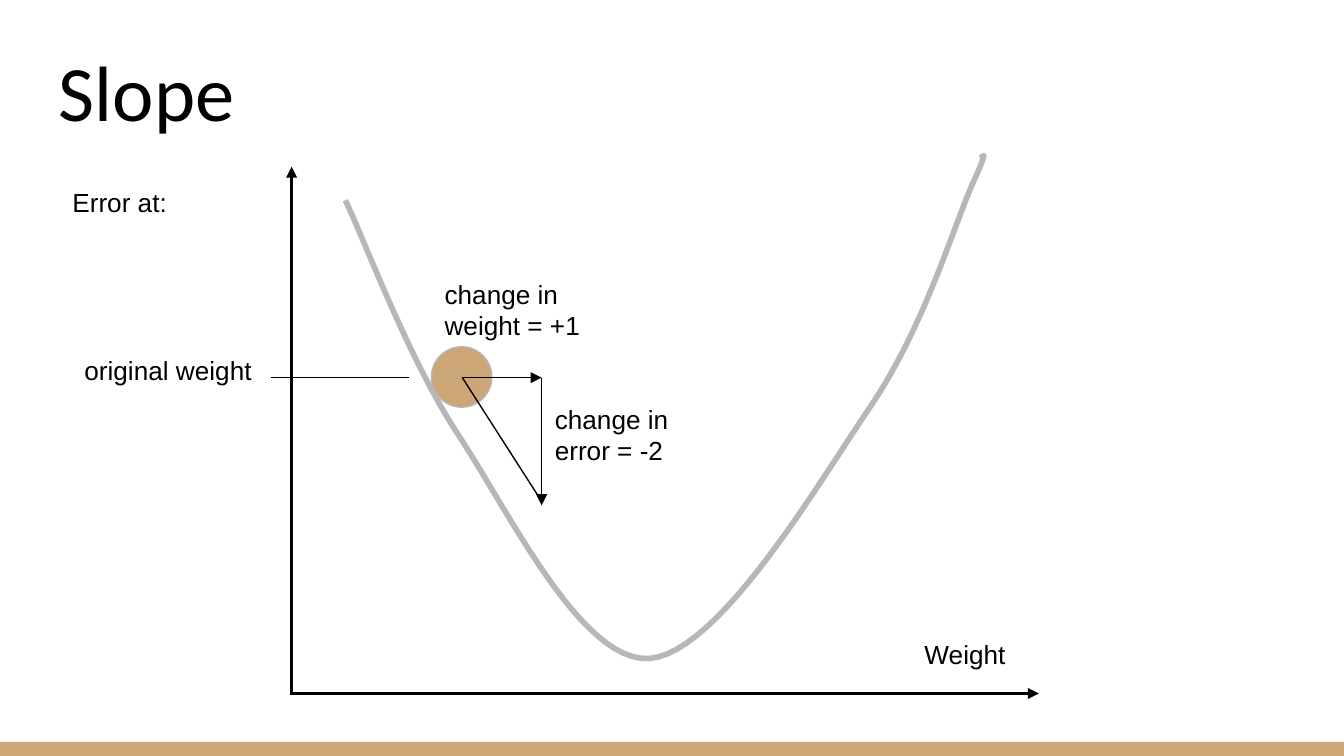
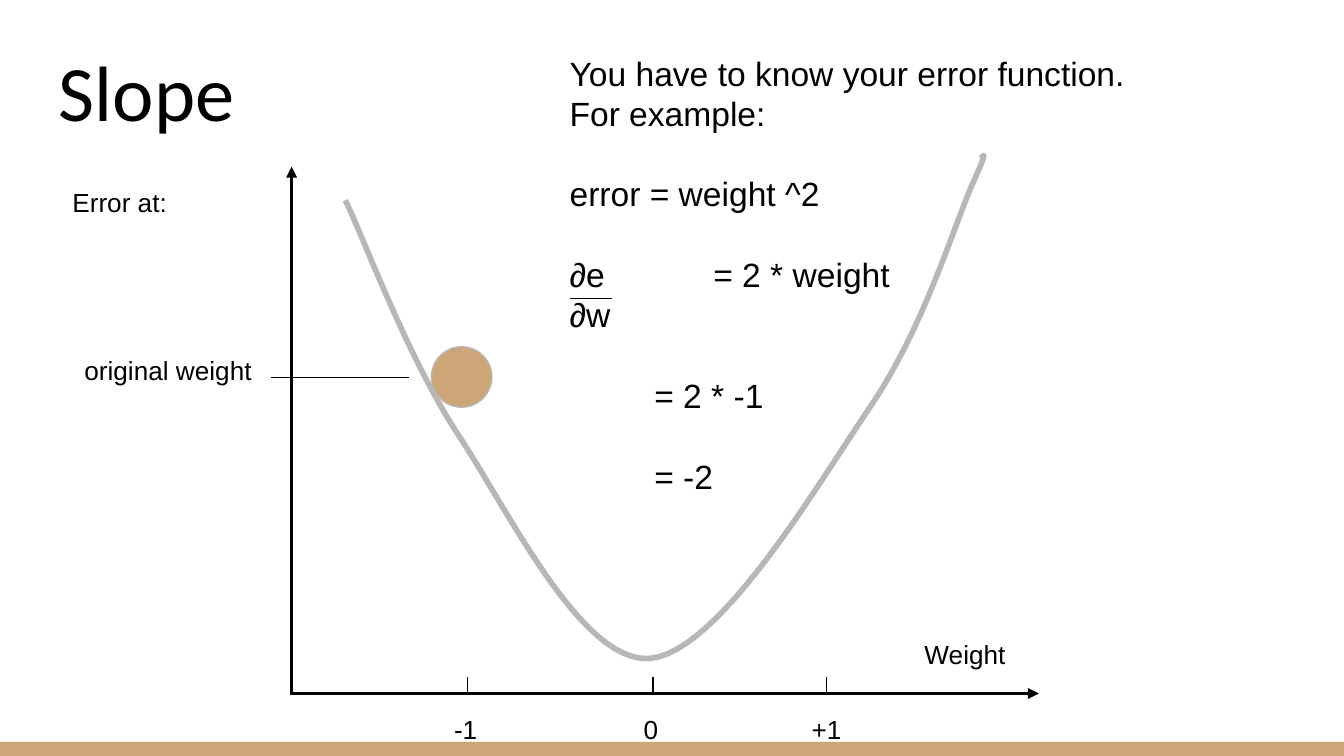
from lxml.etree import SubElement as Sub
from pptx import Presentation
from pptx.dml.color import RGBColor
from pptx.enum.shapes import MSO_CONNECTOR as Link, MSO_SHAPE as Form
from pptx.enum.text import MSO_ANCHOR as Anchor
from pptx.oxml.ns import qn
from pptx.util import Inches, Pt

TAN = RGBColor(0xCC, 0xA6, 0x77)
GRAY = RGBColor(0xB7, 0xB7, 0xB7)
BLACK = RGBColor(0, 0, 0)

# Start point, then two handles and an end point per segment
START = (2.57, 1.49)
BENDS = [
    ((2.71, 1.78), (3.03, 2.65), (3.4, 3.22)),
    ((3.78, 3.79), (4.32, 4.93), (4.83, 4.9)),
    ((5.35, 4.86), (6.08, 3.61), (6.48, 3.02)),
    ((6.88, 2.43), (7.1, 1.67), (7.24, 1.36)),
    ((7.38, 1.05), (7.29, 1.2), (7.31, 1.16)),
]
STEPS = 24
BASE = 5.16            # height of the weight axis
BALL = (3.44, 2.81)    # centre of the ball
STEP = 4.03            # weight after the change


def trace():
    """Yield the points of the error curve after its start."""
    last = START
    for one, two, end in BENDS:
        for i in range(1, STEPS + 1):
            t = i / STEPS
            u = 1 - t
            yield tuple(
                Inches(u**3 * a + 3 * u * u * t * b + 3 * u * t * t * c + t**3 * d)
                for a, b, c, d in zip(last, one, two, end)
            )
        last = end


class Deck:
    label = {"name": "Arial", "size": Pt(14)}
    body = {"name": "Arial", "size": Pt(18)}
    head = {"name": "Calibri", "size": Pt(42)}
    inset = {f"margin_{s}": Inches(0.1) for s in ("left", "top", "right", "bottom")}

    def __init__(self):
        self.prs = Presentation()
        self.prs.slide_width = Inches(10)
        self.prs.slide_height = Inches(10) * 9 // 16

    def page(self, title):
        """Start a slide with its band and title."""
        self.slide = self.prs.slides.add_slide(self.prs.slide_layouts[6])
        self.shapes = self.slide.shapes
        self.solid(Form.RECTANGLE, 0, 5.52, 10, 0.11)
        self.text([title], 0.34, 0.49, 9.32, 0.63, self.head, Anchor.BOTTOM, None)

    def solid(self, form, x, y, w, h, edge=None):
        item = self.shapes.add_shape(form, *map(Inches, (x, y, w, h)))
        item.shadow.inherit = False
        item.fill.solid()
        item.fill.fore_color.rgb = TAN
        if edge is None:
            item.line.fill.background()
        else:
            self.pen(item, edge, 0.75)

    def pen(self, item, color, width):
        item.line.color.rgb = color
        item.line.width = Pt(width)

    def line(self, start, end, width=0.75, arrow=False):
        item = self.shapes.add_connector(
            Link.STRAIGHT, *map(Inches, (*start, *end)))
        self.pen(item, BLACK, width)
        props = item._element.spPr
        if arrow:
            Sub(props.find(qn("a:ln")), qn("a:tailEnd"), type="triangle")
        Sub(props, qn("a:effectLst"))

    def curve(self):
        build = self.shapes.build_freeform(*map(Inches, START))
        build.add_line_segments(trace(), close=False)
        item = build.convert_to_shape()
        item.shadow.inherit = False
        item.fill.background()
        self.pen(item, GRAY, 3)

    def text(self, rows, x, y, w, h=0.31, style=label, anchor=Anchor.TOP, lead=1.2):
        """Write rows; a row is a string or (string, format values)."""
        frame = self.shapes.add_textbox(*map(Inches, (x, y, w, h))).text_frame
        values = {"word_wrap": True, "vertical_anchor": anchor, **self.inset}
        for key, value in values.items():
            setattr(frame, key, value)
        for i, row in enumerate(rows):
            words, form = (row, {}) if isinstance(row, str) else row
            para = frame.paragraphs[0] if i == 0 else frame.add_paragraph()
            props = para._p.get_or_add_pPr()
            if "indent" in form:
                props.set("marL", str(Inches(form["indent"])))
            if "tab" in form:
                stops = Sub(props, qn("a:tabLst"))
                Sub(stops, qn("a:tab"), pos=str(Inches(form["tab"])), algn="l")
            if lead:
                para.line_spacing = Pt(lead * style["size"].pt)
            if form.get("gap"):
                para.space_before = Pt(lead * style["size"].pt)
            run = para.add_run()
            run.text = words
            for key, value in style.items():
                setattr(run.font, key, value)
            run.font.color.rgb = BLACK

    def graph(self):
        """Draw the error curve, the ball and the axes."""
        self.curve()
        self.solid(Form.OVAL, 3.21, 2.58, 0.45, 0.45, GRAY)
        self.line((2.17, BASE), (2.17, 1.24), 1.5, True)
        self.line((2.16, BASE), (7.73, BASE), 1.5, True)
        self.text(["Error at:"], 0.44, 1.29, 2.62)
        self.text(["Weight"], 6.78, 4.65, 2.62)
        self.line((3.04, BALL[1]), (2.02, BALL[1]))
        self.text(["original weight"], 0.53, 2.54, 2.04)


def main():
    deck = Deck()

    # Slope as change in error over change in weight
    deck.page("Slope")
    deck.graph()
    deck.line(BALL, (STEP, 3.73))
    deck.line(BALL, (STEP, BALL[1]), arrow=True)
    deck.line((STEP, BALL[1]), (STEP, 3.76), arrow=True)
    deck.text(["change in", "weight = +1"], 3.21, 1.97, 2.53, 0.29)
    deck.text(["change in", "error = -2"], STEP, 2.9, 2.53, 0.29)

    # Slope from the derivative
    deck.page("Slope")
    deck.graph()
    deck.text([
        "You have to know your error function.",
        "For example:",
        ("error = weight ^2", {"gap": True}),
        ("∂e \t = 2 * weight", {"gap": True, "tab": 1}),
        "∂w",
        ("= 2 * -1", {"gap": True, "indent": 0.63}),
        ("= -2", {"gap": True, "indent": 0.63}),
    ], 4.14, 0.29, 5.1, 0.78, deck.body)
    deck.line((4.24, 2.22), (4.55, 2.22))

    # Ticks on the weight axis
    for mark, tick, left, wide in (
        ("-1", 3.48, 3.28, 1.18), ("0", 4.86, 4.69, 2.62), ("+1", 6.15, 5.94, 2.62),
    ):
        deck.text([mark], left, 5.21, wide)
        deck.line((tick, 5.04), (tick, BASE))

    deck.prs.save("out.pptx")


if __name__ == "__main__":
    main()
